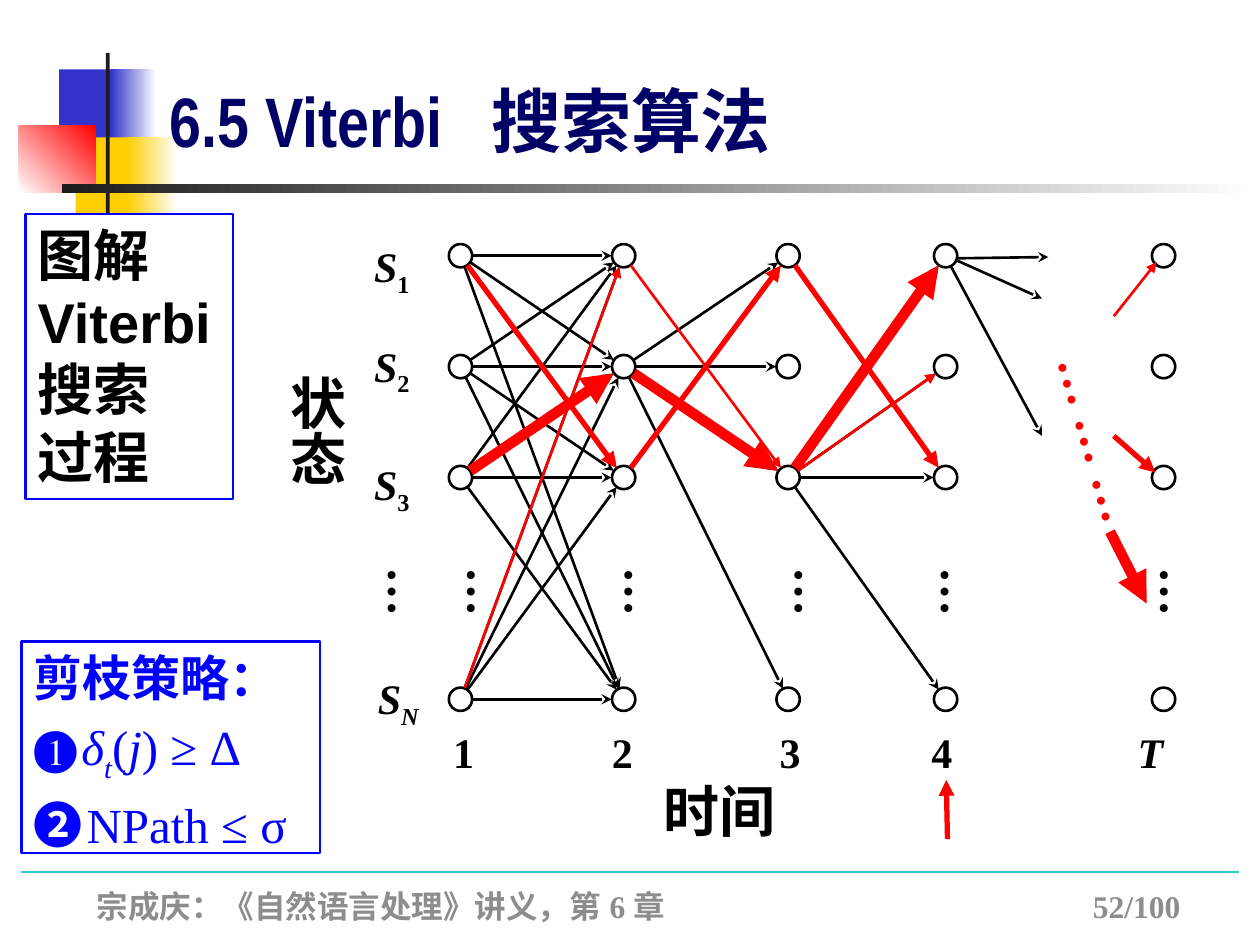
from dataclasses import dataclass, replace
from itertools import product
from math import hypot
from typing import NamedTuple, Optional, Sequence

from lxml.etree import SubElement as Sub
from pptx import Presentation
from pptx.dml.color import RGBColor as Rgb
from pptx.enum.shapes import MSO_CONNECTOR as Link, MSO_SHAPE as Kind
from pptx.enum.text import MSO_ANCHOR as Anchor, PP_ALIGN as Align
from pptx.oxml.ns import qn
from pptx.util import Emu, Inches, Pt

# The slide is a grid of 100 columns by 75 rows of square cells.
COLS, ROWS = 100, 75
CELL = Inches(10) // COLS


@dataclass(frozen=True)
class Theme:
    black: str = "000000"
    white: str = "FFFFFF"
    red: str = "FF0000"
    blue: str = "0000FF"
    navy: str = "000066"
    indigo: str = "3333CC"
    gold: str = "FFCF01"
    coal: str = "1C1C1C"
    gray: str = "8D8D8D"
    teal: str = "33CCCC"
    serif: str = "Times New Roman"
    sans: str = "Arial"
    narrow: str = "Arial Narrow"
    han: str = "Noto Sans CJK SC"
    title: float = 40
    large: float = 32
    mid: float = 28
    label: float = 24
    foot: float = 18
    tiny: float = 10
    thin: float = 1.5
    bold: float = 3
    heavy: float = 6


T = Theme()


class Box(NamedTuple):
    x: float
    y: float
    w: float
    h: float


class Spot(NamedTuple):
    x: float
    y: float


@dataclass(frozen=True)
class Run:
    text: str
    size: float = T.label
    face: str = T.serif
    color: str = T.black
    bold: bool = True
    italic: bool = False
    sub: bool = False
    asian: Optional[str] = None


class Path(NamedTuple):
    col: int
    start: int
    end: int
    width: float


class Arrow(NamedTuple):
    a: Spot
    b: Spot
    color: str
    width: float


def cell(n: float) -> Emu:
    return Emu(round(n * CELL))


def place(box: Box) -> list[Emu]:
    return [cell(n) for n in box]


def draw_text(shapes, box: Box, lines: Sequence[Sequence[Run]], align=Align.LEFT,
              anchor=Anchor.TOP, tall: bool = False, turn: float = 0,
              before: float = 0, tab: Optional[tuple[float, str]] = None,
              fill: Optional[str] = None, edge: Optional[str] = None) -> None:
    """Put runs in a box; tall sets them downward, tab is (cells, side)."""
    shape = shapes.add_textbox(*place(box))
    shape.rotation = turn
    if fill:
        shape.fill.solid()
        shape.fill.fore_color.rgb = Rgb.from_string(fill)
    if edge:
        shape.line.color.rgb = Rgb.from_string(edge)
        shape.line.width = Pt(T.thin)
    frame = shape.text_frame
    frame.word_wrap = True
    frame.vertical_anchor = anchor
    if tall:
        frame._txBody.bodyPr.set("vert", "eaVert")
    for i, line in enumerate(lines):
        para = frame.add_paragraph() if i else frame.paragraphs[0]
        para.alignment = align
        if i and before:
            para.space_before = Pt(before)
        if tab:
            stops = Sub(para._p.get_or_add_pPr(), qn("a:tabLst"))
            Sub(stops, qn("a:tab"), pos=str(cell(tab[0])), algn=tab[1])
        for part in line:
            run = para.add_run()
            run.text = part.text
            font = run.font
            font.size, font.name = Pt(part.size), part.face
            font.bold, font.italic = part.bold, part.italic
            font.color.rgb = Rgb.from_string(part.color)
            props = run._r.get_or_add_rPr()
            Sub(props, qn("a:ea"), typeface=part.asian or part.face)
            if part.sub:
                props.set("baseline", "-25000")


def draw_block(shapes, box: Box, *colors: str, angle: float = 0) -> None:
    """Fill a bare rectangle with one color, or fade between two."""
    shape = shapes.add_shape(Kind.RECTANGLE, *place(box))
    shape.shadow.inherit = False
    shape.line.fill.background()
    if len(colors) == 1:
        shape.fill.solid()
        shape.fill.fore_color.rgb = Rgb.from_string(colors[0])
        return
    shape.fill.gradient()
    shape.fill.gradient_angle = angle
    for stop, color in zip(shape.fill.gradient_stops, colors):
        stop.color.rgb = Rgb.from_string(color)


def draw_line(shapes, arrow: Arrow, head: Optional[str] = None) -> None:
    line = shapes.add_connector(Link.STRAIGHT, *map(cell, (*arrow.a, *arrow.b)))
    line.line.color.rgb = Rgb.from_string(arrow.color)
    line.line.width = Pt(arrow.width)
    if head:
        Sub(line.line._get_or_add_ln(), qn("a:tailEnd"), type=head)
    Sub(line._element.spPr, qn("a:effectLst"))


def draw_arrow(shapes, arrow: Arrow) -> None:
    draw_line(shapes, arrow, "triangle" if arrow.color == T.red else "stealth")


# Trellis: one column of nodes per time step, one row per state.
STEPS = (36.55, 49.5, 62.55, 75.05, 92.35)
STATES = (20.3, 29.1, 37.9, 55.5)
NODE = 1.85
RIM = 0.95
ALL = range(len(STATES))
LINKS = [Path(0, a, b, T.thin) for a, b in product(ALL, ALL)]
LINKS += [Path(1, 1, b, T.thin) for b in ALL]
LINKS += [Path(2, 2, b, T.thin) for b in ALL]
BEST = [Path(0, 2, 1, T.heavy), Path(0, 0, 2, T.bold), Path(0, 3, 0, T.thin),
        Path(1, 2, 0, T.bold), Path(1, 1, 2, T.heavy), Path(1, 0, 2, T.thin),
        Path(2, 2, 0, T.heavy), Path(2, 0, 2, T.bold), Path(2, 2, 1, T.thin)]
LOOSE = [Arrow(Spot(76, 20.5), Spot(83.2, 20.4), T.black, T.thin),
         Arrow(Spot(76, 20.7), Spot(82.7, 23.7), T.black, T.thin),
         Arrow(Spot(75.5, 21.2), Spot(82.7, 34.6), T.black, T.thin),
         Arrow(Spot(88.1, 42.2), Spot(91, 47.9), T.red, T.heavy),
         Arrow(Spot(88.4, 34.6), Spot(91.7, 37.5), T.red, T.bold),
         Arrow(Spot(88.4, 25.1), Spot(91.8, 20.8), T.red, T.thin),
         Arrow(Spot(75.2, 66.6), Spot(75.1, 61.9), T.red, T.bold)]


def join(path: Path, color: str) -> Arrow:
    """Run an arrow from rim to rim between two nodes of adjoining steps."""
    ax, bx = STEPS[path.col:path.col + 2]
    ay, by = STATES[path.start], STATES[path.end]
    span = hypot(bx - ax, by - ay)
    dx, dy = (bx - ax) / span * RIM, (by - ay) / span * RIM
    return Arrow(Spot(ax + dx, ay + dy), Spot(bx - dx, by - dy), color, path.width)


def draw_node(shapes, x: float, y: float) -> None:
    node = shapes.add_shape(Kind.OVAL, *place(Box(x - NODE / 2, y - NODE / 2, NODE, NODE)))
    node.shadow.inherit = False
    node.fill.solid()
    node.fill.fore_color.rgb = Rgb.from_string(T.white)
    node.line.color.rgb = Rgb.from_string(T.black)
    node.line.width = Pt(T.thin)


def draw_frame(shapes) -> None:
    draw_line(shapes, Arrow(Spot(1.7, 69.2), Spot(98.3, 69.2), T.teal, 0.75))
    draw_block(shapes, Box(4.7, 5.5, 4.8, 6), T.indigo)
    draw_block(shapes, Box(8.8, 5.5, 3.6, 6), T.indigo, T.white)
    draw_block(shapes, Box(6, 10.9, 4.6, 6), T.gold)
    draw_block(shapes, Box(10.1, 10.9, 4, 6), T.gold, T.white)
    draw_block(shapes, Box(1.5, 10, 6.1, 5.3), T.white, T.red, angle=45)
    draw_block(shapes, Box(8.4, 4.2, 0.3, 13.3), T.coal)
    draw_block(shapes, Box(4.9, 14.6, 95.1, 0.7), T.coal, T.white)
    foot = Run("宗成庆：《自然语言处理》讲义，第 6 章\t52/100", T.foot,
               color=T.gray, asian=T.sans)
    draw_text(shapes, Box(6.7, 69.9, 91.6, 4), [[foot]], tab=(86, "r"))
    title = Run("6.5 Viterbi\t", T.title, T.narrow, T.navy)
    draw_text(shapes, Box(12.5, 5, 59.5, 8.3),
              [[title, replace(title, text="搜索算法", face=T.han)]],
              anchor=Anchor.BOTTOM, tab=(25.5, "l"))


def draw_trellis(shapes) -> None:
    for path in LINKS:
        draw_arrow(shapes, join(path, T.black))
    for x, y in product(STEPS, STATES):
        draw_node(shapes, x, y)
    for path in BEST:
        draw_arrow(shapes, join(path, T.red))
    for arrow in LOOSE:
        draw_arrow(shapes, arrow)


def draw_labels(shapes) -> None:
    state = Run("S", italic=True)
    for name, x, y in zip("123N", (28.7, 28.7, 28.7, 29), (18.6, 26.5, 35.9, 52.9)):
        index = Run(name, italic=name == "N", sub=True)
        draw_text(shapes, Box(x, y, 6.9, 5), [[state, index]])
    for name, x in zip("1234T", (36.8, 49.4, 62.7, 74.75, 91.3)):
        draw_text(shapes, Box(x - 3.45, 57.2, 6.9, 4.7),
                  [[Run(name, italic=name == "T")]], Align.CENTER)
    dots = Run("…", T.mid)
    for x in (31.2, 37.5, 50, 63.5, 75.1, 92.5):
        draw_text(shapes, Box(x - 4, 44.1, 8, 6), [[dots]], tall=True)
    draw_text(shapes, Box(82.3, 27.3, 8, 16.5),
              [[replace(dots, text="… … …", color=T.red)]], tall=True, turn=344.1)
    axis = Run("状态", T.large, asian=T.sans)
    draw_text(shapes, Box(20.9, 28.8, 7.4, 21.3), [[axis]], tall=True)
    draw_text(shapes, Box(50, 61.1, 14.2, 5.5), [[replace(axis, text="时间")]],
              Align.CENTER)


def draw_notes(shapes) -> None:
    words = ("图解", "Viterbi", "搜索", "过程")
    draw_text(shapes, Box(2, 17, 16.5, 22.6), [[Run(w, T.large, T.sans)] for w in words],
              fill=T.white, edge=T.blue)
    head = Run("剪枝策略：", T.mid, T.han, T.blue)
    plain = replace(head, face=T.serif, bold=False)
    slant = replace(plain, italic=True)
    first = [replace(plain, text="❶"), replace(plain, text=" ", size=T.tiny),
             replace(slant, text="δ"), replace(slant, text="t", sub=True),
             replace(plain, text="("), replace(slant, text="j"),
             replace(plain, text=") ≥ Δ")]
    second = [replace(head, text="❷"), replace(head, text=" ", size=T.tiny),
              replace(plain, text="NPath ≤ σ")]
    draw_text(shapes, Box(1.7, 50.9, 23.7, 16.8), [[head], first, second],
              before=6, edge=T.blue)


def main() -> None:
    deck = Presentation()
    deck.slide_width, deck.slide_height = cell(COLS), cell(ROWS)
    shapes = deck.slides.add_slide(deck.slide_layouts[6]).shapes
    for draw in (draw_frame, draw_trellis, draw_labels, draw_notes):
        draw(shapes)
    deck.save("out.pptx")


if __name__ == "__main__":
    main()
